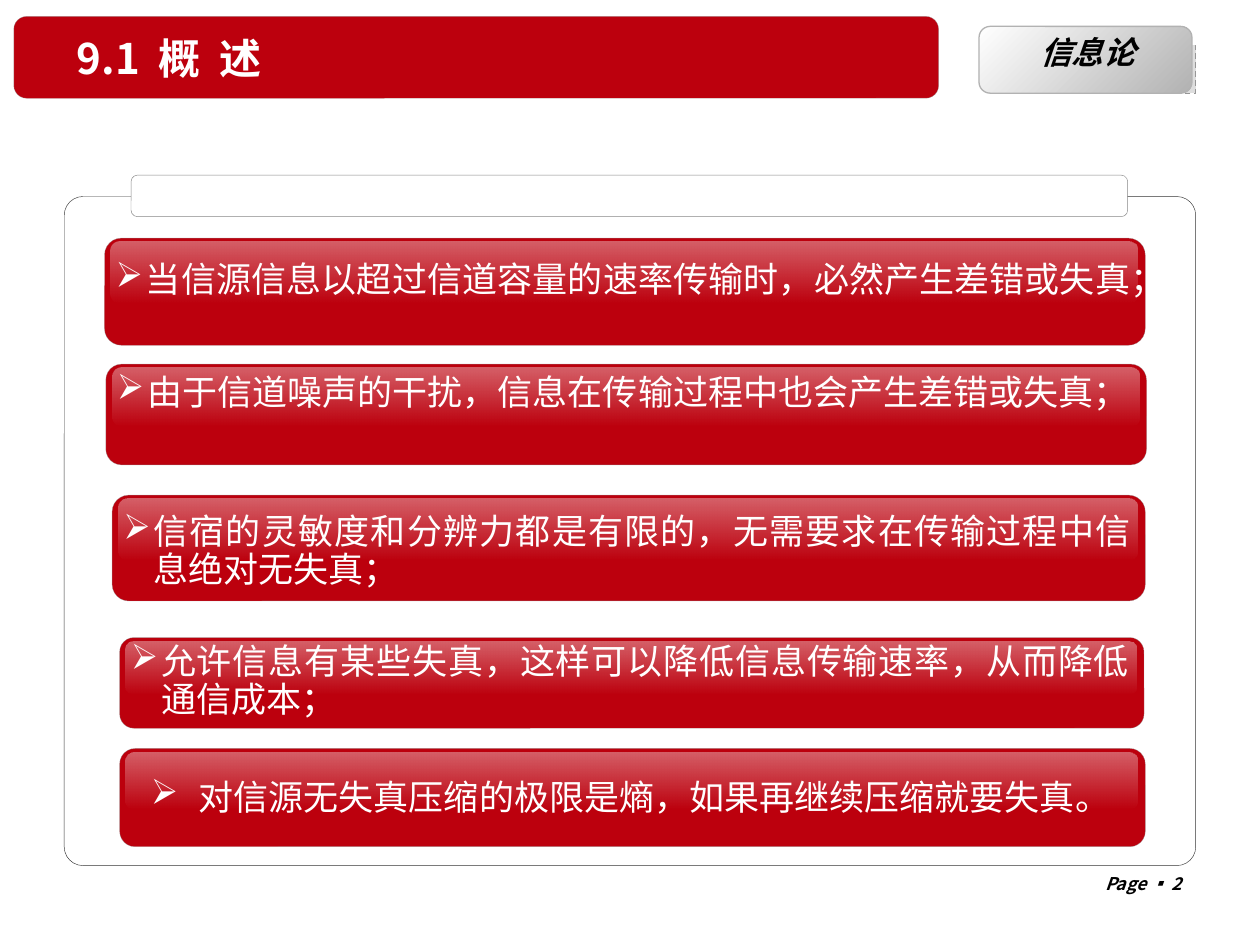
import pptx
import pptx.dml.color
import pptx.enum.dml
import pptx.enum.shapes
import pptx.enum.text
import pptx.oxml.ns
import pptx.util
from lxml import etree

Inches = pptx.util.Inches
Pt = pptx.util.Pt
RGBColor = pptx.dml.color.RGBColor
Shape = pptx.enum.shapes.MSO_SHAPE
Align = pptx.enum.text.PP_ALIGN
Anchor = pptx.enum.text.MSO_ANCHOR
qn = pptx.oxml.ns.qn

RED = RGBColor(0xBC, 0x00, 0x0D)
WHITE = RGBColor(0xFF, 0xFF, 0xFF)
BLACK = RGBColor(0x00, 0x00, 0x00)
DARK_GREY = RGBColor(0x33, 0x33, 0x33)
MID_GREY = RGBColor(0x96, 0x96, 0x96)
SILVER = RGBColor(0xB2, 0xB2, 0xB2)
PALE_GREY = RGBColor(0xDD, 0xDD, 0xDD)
FONT = "Noto Sans CJK SC"

BAR_CORNER = 0.157
GLOSS_CORNER = 0.143

STATEMENTS = [
    ("当信源信息以超过信道容量的速率传输时，必然产生差错或失真；",
     (0.83, 1.89, 8.26, 0.85), (1.8, 0.87), {}),
    ("由于信道噪声的干扰，信息在传输过程中也会产生差错或失真；",
     (0.84, 2.89, 8.26, 0.8), (2.94, 0.69), {"bottom_inset": 0.37}),
    ("信宿的灵敏度和分辨力都是有限的，无需要求在传输过程中信息绝对无失真；",
     (0.89, 3.93, 8.2, 0.84), (4.02, 0.73), {}),
    ("允许信息有某些失真，这样可以降低信息传输速率，从而降低通信成本；",
     (0.95, 5.06, 8.13, 0.72), (5.1, 0.63), {}),
    ("对信源无失真压缩的极限是熵，如果再继续压缩就要失真。",
     (0.95, 5.94, 8.14, 0.78), (5.98, 0.68),
     {"align": Align.CENTER, "spacing": 1.0, "indent": 0.38}),
]


def set_alpha(parent, percent):
    for color in parent.iter(qn("a:srgbClr")):
        alpha = etree.SubElement(color, qn("a:alpha"))
        alpha.set("val", str(percent * 1000))


def add_panel(shapes, bounds, kind=Shape.ROUNDED_RECTANGLE, corner=None, fill=None,
              line=None, width=0.25, line_alpha=None):
    panel = shapes.add_shape(kind, *map(Inches, bounds))
    panel.shadow.inherit = False
    if corner is not None:
        panel.adjustments[0] = corner
    if fill is None:
        panel.fill.background()
    else:
        panel.fill.solid()
        panel.fill.fore_color.rgb = fill
    if line is None:
        panel.line.fill.background()
    else:
        panel.line.color.rgb = line
        panel.line.width = Pt(width)
        if line_alpha is not None:
            set_alpha(panel.line._get_or_add_ln(), line_alpha)
    return panel


def set_gradient(panel, start, end, angle):
    panel.fill.gradient()
    panel.fill.gradient_angle = angle
    for stop, color in zip(panel.fill.gradient_stops, (start, end)):
        stop.color.rgb = color


def add_bar(shapes, bounds):
    return add_panel(shapes, bounds, corner=BAR_CORNER, fill=RED,
                     line=MID_GREY, line_alpha=58)


def add_gloss(shapes, bounds):
    left, top, width, height = bounds
    gloss = add_panel(shapes, (left + 0.05, top + 0.03, width - 0.11, height * 0.57),
                      corner=GLOSS_CORNER)
    set_gradient(gloss, WHITE, WHITE, 270)
    for stop, percent in zip(gloss._element.iter(qn("a:gs")), (38, 0)):
        set_alpha(stop, percent)


def add_text(shapes, bounds, text, size, color, align=Align.LEFT, anchor=Anchor.TOP,
             bold=False, italic=False, spacing=None, indent=None, bottom_inset=0.05):
    box = shapes.add_textbox(*map(Inches, bounds))
    frame = box.text_frame
    frame.word_wrap = True
    frame.vertical_anchor = anchor
    frame.margin_bottom = Inches(bottom_inset)
    para = frame.paragraphs[0]
    para.text = text
    para.alignment = align
    if spacing is not None:
        para.line_spacing = spacing
    if indent is not None:
        properties = para._p.get_or_add_pPr()
        properties.set("marL", str(Inches(indent)))
        properties.set("indent", str(-Inches(indent)))
        etree.SubElement(properties, qn("a:buChar")).set("char", "➢")
    font = para.font
    font.name = FONT
    font.size = Pt(size)
    font.bold = bold
    font.italic = italic
    font.color.rgb = color
    defaults = para._p.pPr.find(qn("a:defRPr"))
    etree.SubElement(defaults, qn("a:ea")).set("typeface", FONT)
    return box


def add_statement(slide, text, bounds, text_span, align=Align.JUSTIFY, spacing=0.9,
                  indent=0.24, bottom_inset=0.05):
    shapes = slide.shapes.add_group_shape().shapes
    left, _, width, _ = bounds
    text_top, text_height = text_span
    add_bar(shapes, bounds)
    add_gloss(shapes, bounds)
    add_text(shapes, (left - 0.01, text_top, width - 0.01, text_height), text, 20, WHITE,
             align=align, anchor=Anchor.MIDDLE, spacing=spacing, indent=indent,
             bottom_inset=bottom_inset)


def add_badge(slide):
    shapes = slide.shapes.add_group_shape().shapes
    badge = add_panel(shapes, (7.77, 0.21, 1.69, 0.53), corner=0.167,
                      line=SILVER, width=0.75)
    set_gradient(badge, WHITE, SILVER, 315)
    add_text(shapes, (7.85, 0.21, 1.56, 0.4), "信息论", 18, BLACK,
             align=Align.CENTER, bold=True, italic=True)


def add_dashed_plate(slide):
    plate = add_panel(slide.shapes, (7.97, 0.36, 1.52, 0.38), kind=Shape.RECTANGLE,
                      line=MID_GREY, width=0.75)
    set_gradient(plate, WHITE, PALE_GREY, 0)
    plate.line.dash_style = pptx.enum.dml.MSO_LINE.DASH


def main():
    deck = pptx.Presentation()
    deck.slide_width = Inches(10)
    deck.slide_height = Inches(7.5)
    slide = deck.slides.add_slide(deck.slide_layouts[6])
    add_dashed_plate(slide)
    add_text(slide.shapes, (7.91, 6.88, 1.57, 0.22), "Page ▪ 2", 10, BLACK,
             align=Align.RIGHT, bold=True, italic=True)
    add_panel(slide.shapes, (0.51, 1.56, 8.98, 5.31), corner=0.028, line=DARK_GREY)
    add_panel(slide.shapes, (1.04, 1.39, 7.91, 0.33), corner=BAR_CORNER, fill=WHITE,
              line=DARK_GREY, line_alpha=58)
    for text, bounds, text_span, options in STATEMENTS:
        add_statement(slide, text, bounds, text_span, **options)
    add_bar(slide.shapes, (0.11, 0.13, 7.34, 0.65))
    add_text(slide.shapes, (0.51, 0.16, 6.38, 0.65), "9.1  概  述", 24, WHITE,
             anchor=Anchor.MIDDLE, bold=True, spacing=0.9)
    add_badge(slide)
    deck.save("out.pptx")


if __name__ == "__main__":
    main()
